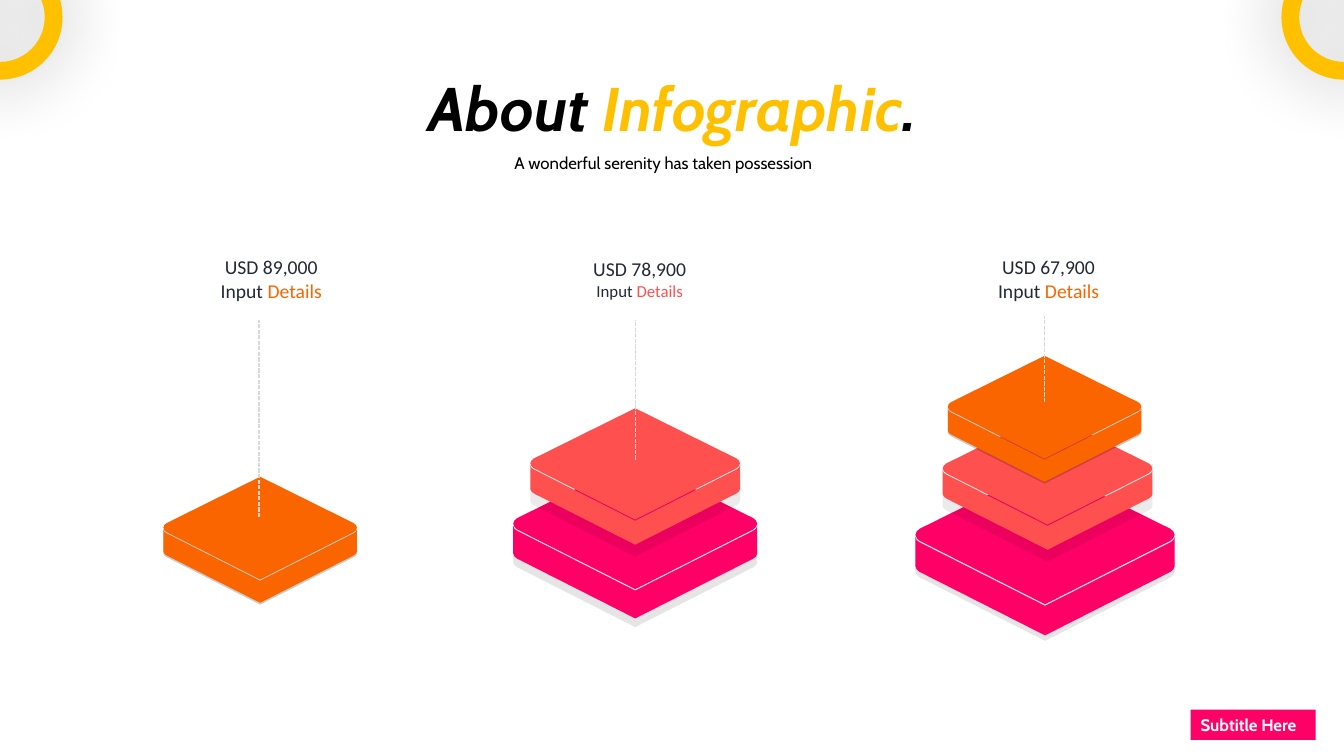
from lxml import etree
from pptx import Presentation
from pptx.dml.color import RGBColor
from pptx.enum.dml import MSO_LINE
from pptx.enum.shapes import MSO_CONNECTOR, MSO_SHAPE
from pptx.enum.text import MSO_ANCHOR, MSO_AUTO_SIZE, PP_ALIGN
from pptx.oxml.ns import qn
from pptx.util import Inches, Pt

CENTER, LEFT = PP_ALIGN.CENTER, PP_ALIGN.LEFT
TOP, MIDDLE = MSO_ANCHOR.TOP, MSO_ANCHOR.MIDDLE
GROW = MSO_AUTO_SIZE.SHAPE_TO_FIT_TEXT
DASH = MSO_LINE.SQUARE_DOT
STRAIGHT = MSO_CONNECTOR.STRAIGHT
RECTANGLE, DONUT = MSO_SHAPE.RECTANGLE, MSO_SHAPE.DONUT

ORANGE, CORAL, PINK, YELLOW = "FA6500", "FF5050", "FF0066", "FFC000"
BLACK, WHITE, NAVY, GREY, SHADE = "000000", "FFFFFF", "222A35", "D9D9D9", "010101"

prs = Presentation()
prs.slide_width, prs.slide_height = Inches(13.33), Inches(7.5)
slide = prs.slides.add_slide(prs.slide_layouts[5])
shapes = slide.shapes


def write(paragraph, pieces, font, size, bold=False, italic=False, align=CENTER):
    paragraph.alignment = align
    for text, color in pieces:
        run = paragraph.add_run()
        run.text = text
        run.font.name, run.font.size = font, Pt(size)
        run.font.bold, run.font.italic = bold, italic
        run.font.color.rgb = RGBColor.from_string(color)


def draw_face(left_half, left, top, width, color, opacity=100):
    outline = left_half + [(1 - x, y) for x, y in reversed(left_half)]
    points = [(Inches(left + x * width), Inches(top + y * width)) for x, y in outline]
    builder = shapes.build_freeform(*points[0], scale=1.0)
    builder.add_line_segments(points[1:], close=True)
    face = builder.convert_to_shape()
    face.shadow.inherit = False
    face.fill.solid()
    face.fill.fore_color.rgb = RGBColor.from_string(color)
    face.line.fill.background()
    if opacity < 100:
        tint = face.fill._xPr.find(".//" + qn("a:srgbClr"))
        etree.SubElement(tint, qn("a:alpha")).set("val", str(opacity * 1000))


title = shapes.title
title.left, title.top, title.width, title.height = map(Inches, (2.37, 0.64, 8.6, 0.84))
title.text_frame.auto_size = GROW
title.text_frame.vertical_anchor = TOP
heading = title.text_frame.paragraphs[0]
heading.line_spacing = 1.0
write(heading, [("About ", BLACK), ("Infographic", YELLOW), (".", BLACK)],
      "Cabin", 44, bold=True, italic=True)

subtitle = shapes.add_textbox(*map(Inches, (4.37, 1.37, 4.42, 0.37))).text_frame
subtitle.word_wrap = True
subtitle.auto_size = GROW
subtitle.paragraphs[0].line_spacing = 1.5
write(subtitle.paragraphs[0], [("A wonderful serenity has taken possession", BLACK)],
      "Cabin", 12)

# Outlines are left halves, in units of the slab width
shadow_half = [(0.5, 0), (0.016, 0.245), (0.004, 0.253), (0, 0.266),
               (0, 0.38), (0.004, 0.39), (0.016, 0.4), (0.5, 0.645)]
lid_half = [(0.5, 0), (0.016, 0.24), (0.005, 0.25), (0, 0.263),
            (0.005, 0.276), (0.016, 0.286), (0.5, 0.531)]
side_half = [(0.5, 0.537), (0.016, 0.292), (0.005, 0.284), (0, 0.271),
             (0, 0.385), (0.005, 0.397), (0.016, 0.406), (0.5, 0.651)]

slabs = [
    (1.62, 4.73, 1.92, ORANGE, 0.03, 20),
    (5.09, 4.56, 2.42, PINK, 0.10, 10),
    (5.26, 4.05, 2.08, CORAL, 0.13, 8),
    (9.08, 4.63, 2.57, PINK, 0.07, 10),
    (9.35, 4.10, 2.08, CORAL, 0.13, 8),
    (9.40, 3.53, 1.92, ORANGE, 0.03, 20),
]
for left, top, width, color, drop, opacity in slabs:
    draw_face(shadow_half, left, top + drop, width, SHADE, opacity)
    draw_face(lid_half, left, top, width, color)
    draw_face(side_half, left, top, width, color)

amounts = [
    ("USD 89,000", ORANGE, 14, (2.08, 2.48, 1.22, 0.57), 2.57, 5.13, 3.17),
    ("USD 78,900", CORAL, 12, (5.78, 2.50, 1.13, 0.54), 6.30, 4.56, 3.17),
    ("USD 67,900", ORANGE, 14, (9.79, 2.48, 1.22, 0.57), 10.36, 3.99, 3.14),
]
for amount, accent, detail_size, box, x, start, end in amounts:
    leader = shapes.add_connector(STRAIGHT, *map(Inches, (x, start, x, end)))
    leader.line.color.rgb = RGBColor.from_string(GREY)
    leader.line.width = Pt(1)
    leader.line.dash_style = DASH
    etree.SubElement(leader._element.spPr, qn("a:effectLst"))

    label = shapes.add_textbox(*map(Inches, box)).text_frame
    label.word_wrap = False
    label.auto_size = GROW
    write(label.paragraphs[0], [(amount, NAVY)], "Calibri", 14)
    write(label.add_paragraph(), [("Input ", NAVY), ("Details", accent)],
          "Calibri", detail_size)

tag = shapes.add_shape(RECTANGLE, *map(Inches, (11.81, 7.04, 1.24, 0.3)))
tag.shadow.inherit = False
tag.fill.solid()
tag.fill.fore_color.rgb = RGBColor.from_string(PINK)
tag.line.fill.background()
tag.text_frame.word_wrap = False
tag.text_frame.auto_size = GROW
tag.text_frame.vertical_anchor = MIDDLE
write(tag.text_frame.paragraphs[0], [("Subtitle Here", WHITE)], "Cabin", 12,
      bold=True, align=LEFT)

for left in (-0.62, 12.71):
    ring = shapes.add_shape(DONUT, *map(Inches, (left, -0.45, 1.24, 1.24)))
    ring.adjustments[0] = 0.142
    ring.fill.solid()
    ring.fill.fore_color.rgb = RGBColor.from_string(YELLOW)
    ring.line.fill.background()
    ring.shadow.inherit = False
    effects = ring._element.spPr.find(qn("a:effectLst"))
    glow = etree.SubElement(effects, qn("a:outerShdw"), blurRad=str(Pt(49)),
                            dist="0", dir="0", algn="ctr", rotWithShape="0")
    glow_color = etree.SubElement(glow, qn("a:srgbClr"), val=BLACK)
    etree.SubElement(glow_color, qn("a:alpha"), val="33000")

prs.save("out.pptx")
